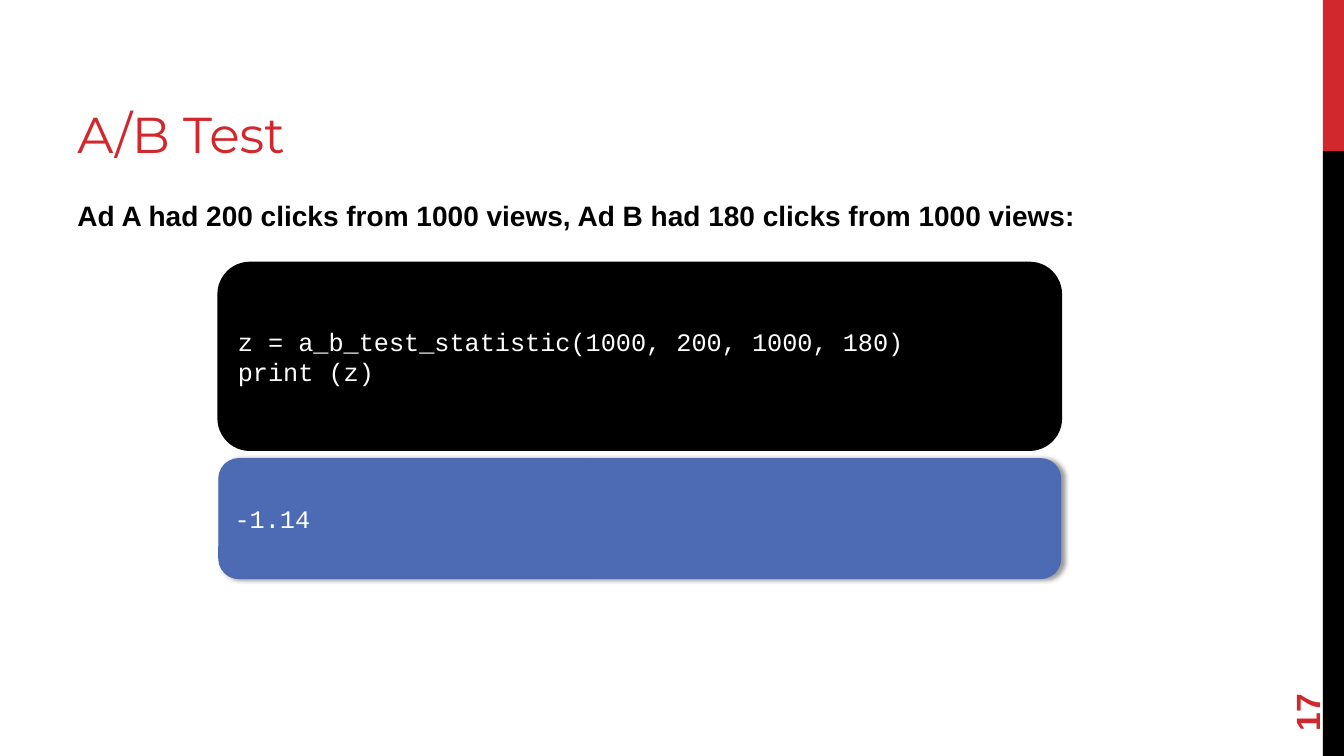
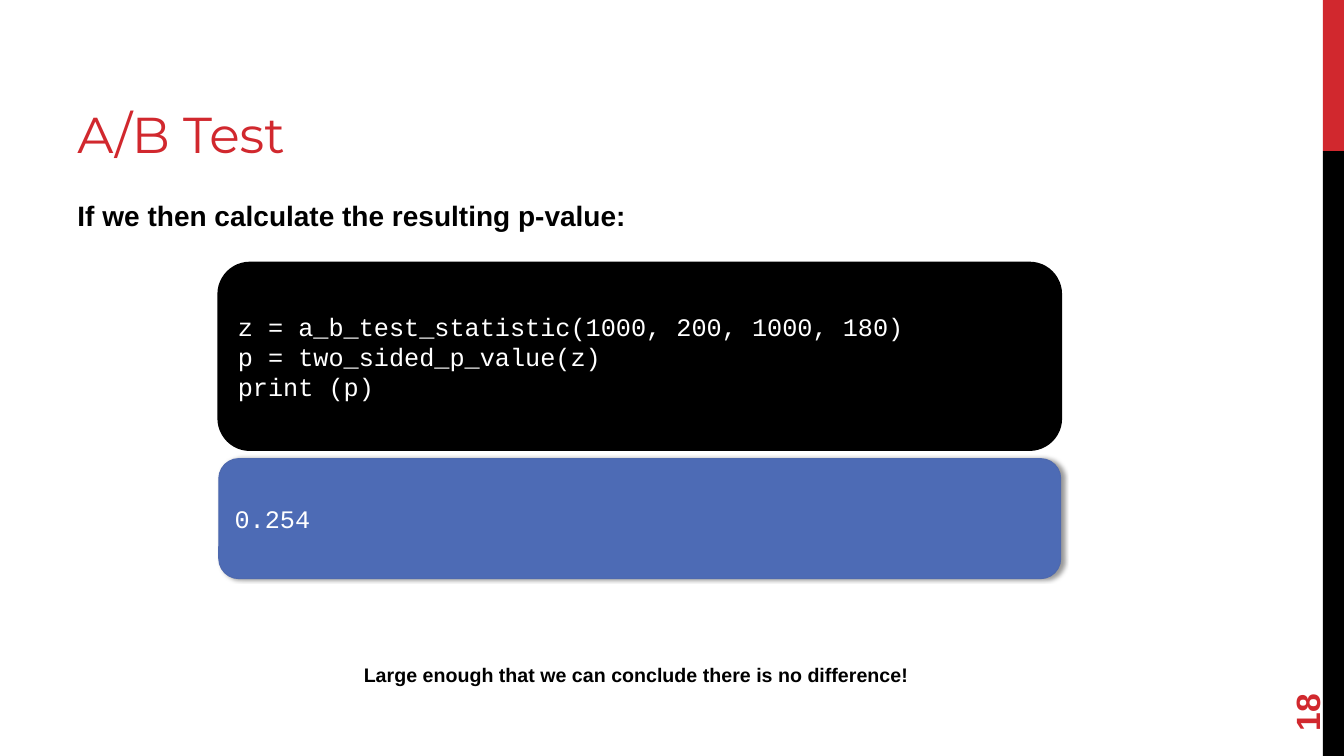
from lxml import etree
from pptx import Presentation
from pptx.dml.color import RGBColor
from pptx.enum.shapes import MSO_SHAPE
from pptx.enum.text import MSO_ANCHOR, PP_ALIGN
from pptx.oxml.ns import qn
from pptx.util import Inches, Pt

RECT, ROUND = MSO_SHAPE.RECTANGLE, MSO_SHAPE.ROUNDED_RECTANGLE
TOP, MIDDLE, BOTTOM = MSO_ANCHOR.TOP, MSO_ANCHOR.MIDDLE, MSO_ANCHOR.BOTTOM
LEFT = PP_ALIGN.LEFT

RED, BLACK, WHITE = "D1282E", "000000", "FFFFFF"
BLUE, BLUE_EDGE = "4D6BB5", "4E69AE"
SANS, MONO, DISPLAY = "Arial", "Courier New", "Montserrat"


def add_panel(s, shape, box, fill, edge=None, width=0):
    sp = s.shapes.add_shape(shape, *map(Inches, box))
    sp.shadow.inherit = False
    sp.fill.solid()
    sp.fill.fore_color.rgb = RGBColor.from_string(fill)
    if edge:
        sp.line.color.rgb = RGBColor.from_string(edge)
        sp.line.width = Pt(width)
    else:
        sp.line.fill.background()
    return sp


def write(sp, lines, font, size, color, bold=False, anchor=TOP):
    tf = sp.text_frame
    tf.word_wrap = True
    tf.vertical_anchor = anchor
    for i, line in enumerate(lines):
        p = tf.paragraphs[0] if i == 0 else tf.add_paragraph()
        p.alignment = LEFT
        r = p.add_run()
        r.text = line
        r.font.name = font
        r.font.size = Pt(size)
        r.font.bold = bold
        r.font.color.rgb = RGBColor.from_string(color)
    return tf


# Content: number, lead sentence, code lines, output, closing remark
CALL = "z = a_b_test_statistic(1000, 200, 1000, 180)"
SLIDES = [
    (17, "Ad A had 200 clicks from 1000 views, Ad B had 180 clicks from 1000 views:",
     [CALL, "print (z)"], "-1.14", None),
    (18, "If we then calculate the resulting p-value:",
     [CALL, "p = two_sided_p_value(z)", "print (p)"], "0.254",
     "Large enough that we can conclude there is no difference!"),
]

prs = Presentation()
prs.slide_width, prs.slide_height = Inches(13.33), Inches(7.5)

for number, lead, code, output, remark in SLIDES:
    s = prs.slides.add_slide(prs.slide_layouts[6])

    # Side bands
    add_panel(s, RECT, (13.12, 0, 0.21, 1.5), RED)
    add_panel(s, RECT, (13.12, 1.5, 0.21, 6), BLACK)

    # Title and lead sentence
    sp = s.shapes.add_textbox(*map(Inches, (0.67, 0.17, 8.44, 1.5)))
    write(sp, ["A/B Test"], DISPLAY, 36, RED, anchor=BOTTOM)
    sp = s.shapes.add_textbox(*map(Inches, (0.67, 1.92, 11.11, 0.6)))
    p = write(sp, [lead], SANS, 20, BLACK, bold=True).paragraphs[0]
    p.space_before, p.space_after = Pt(4), Pt(6)

    # Code panel
    sp = add_panel(s, ROUND, (2.17, 2.61, 8.35, 1.85), BLACK, BLACK, 2)
    write(sp, code, MONO, 18, WHITE, anchor=MIDDLE)

    # Output panel with a soft shadow
    sp = add_panel(s, ROUND, (2.17, 4.55, 8.35, 1.19), BLUE, BLUE_EDGE, 0.75)
    write(sp, [output], MONO, 18, WHITE, anchor=MIDDLE)
    effects = sp.fill._xPr.find(qn("a:effectLst"))
    shadow = etree.SubElement(effects, qn("a:outerShdw"), blurRad=str(Pt(3.1)),
                              dist=str(Pt(1.8)), dir="0", rotWithShape="0")
    shade = etree.SubElement(shadow, qn("a:srgbClr"), val=BLACK)
    etree.SubElement(shade, qn("a:alpha"), val="40000")

    # Slide number, reading upwards
    sp = s.shapes.add_textbox(*map(Inches, (12.24, 6.37, 1.44, 0.53)))
    sp.rotation = 270
    write(sp, [str(number)], SANS, 24, RED, bold=True, anchor=MIDDLE)

    # Closing remark
    if remark:
        sp = s.shapes.add_textbox(*map(Inches, (3.51, 6.48, 5.66, 0.44)))
        tf = write(sp, [remark], SANS, 14, BLACK, bold=True)
        tf.margin_top = tf.margin_bottom = Inches(0.1)

prs.save("out.pptx")
